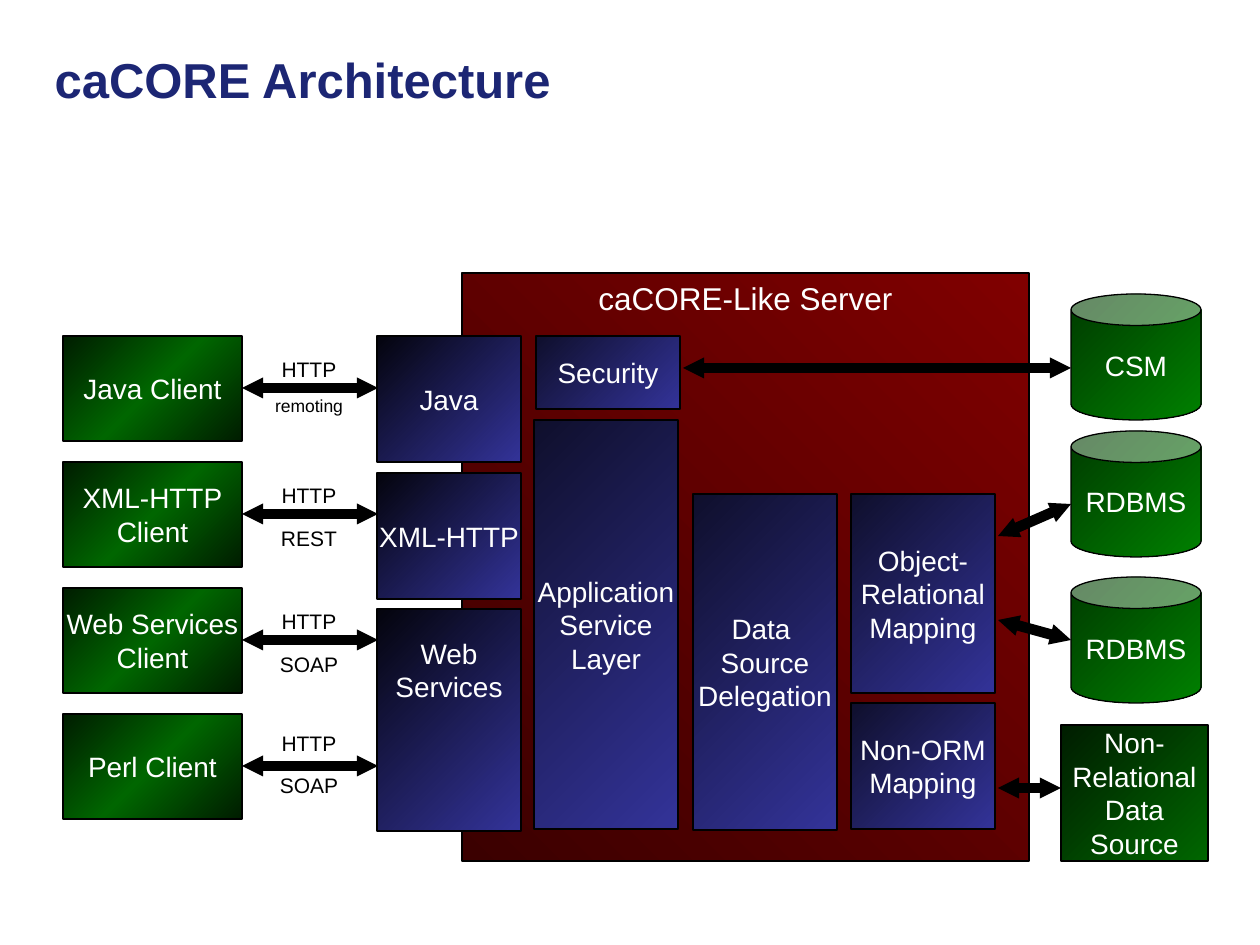
from lxml import etree
from pptx import Presentation, util as u
from pptx.dml.color import RGBColor
from pptx.enum import shapes, text
from pptx.oxml.ns import qn

PX = 914400 / 126
FONT = "Arial"
BLACK = RGBColor(0x00, 0x00, 0x00)
WHITE = RGBColor(0xFF, 0xFF, 0xFF)
NAVY = RGBColor(0x1C, 0x26, 0x74)
BLUE = RGBColor(0x33, 0x33, 0x99)
MIDNIGHT = RGBColor(0x0F, 0x0F, 0x2C)
INK = RGBColor(0x04, 0x04, 0x0D)
MAROON = RGBColor(0x3B, 0x00, 0x00)
RED = RGBColor(0x80, 0x00, 0x00)
PINE = RGBColor(0x00, 0x1D, 0x00)
LEAF = RGBColor(0x00, 0x66, 0x00)
FOREST = RGBColor(0x00, 0x3B, 0x00)
GREEN = RGBColor(0x00, 0x80, 0x00)

RECT = shapes.MSO_SHAPE.RECTANGLE
CAN = shapes.MSO_SHAPE.CAN
MIDDLE = text.MSO_ANCHOR.MIDDLE
TOP = text.MSO_ANCHOR.TOP
ROW_STEP, CLIENT_HEIGHT = 126, 105
TILE_WIDTH = 144
CLIENTS = [  # client, lower label, its size, tops of both labels within the row
    (["Java Client"], "remoting", 10, 14, 53),
    (["XML-HTTP", "Client"], "REST", 12, 14, 57),
    (["Web Services", "Client"], "SOAP", 12, 14, 57),
    (["Perl Client"], "SOAP", 12, 10, 52),
]


def emu(px):
    return u.Emu(round(px * PX))


def write(frame, lines, size, color, align=text.PP_ALIGN.CENTER, bold=False):
    for i, line in enumerate(lines):
        paragraph = frame.paragraphs[0] if i == 0 else frame.add_paragraph()
        paragraph.alignment = align
        run = paragraph.add_run()
        run.text = line
        run.font.name, run.font.size = FONT, u.Pt(size)
        run.font.bold = bold
        run.font.color.rgb = color


def blend(shape, colors, angle):
    """Fill with evenly spaced gradient stops; the angle runs clockwise."""
    shape.fill.gradient()
    shape.fill.gradient_angle = (360 - angle) % 360
    stops = shape._element.spPr.find(qn("a:gradFill")).find(qn("a:gsLst"))
    for stop in list(stops):
        stops.remove(stop)
    for i, color in enumerate(colors):
        position = str(100000 * i // (len(colors) - 1))
        stop = etree.SubElement(stops, qn("a:gs"), pos=position)
        etree.SubElement(stop, qn("a:srgbClr"), val=str(color))


def add_block(slide, box, lines, colors, kind=RECT, angle=45, size=16,
              anchor=MIDDLE):
    block = slide.shapes.add_shape(kind, *map(emu, box))
    block.shadow.inherit = False
    blend(block, colors, angle)
    block.line.color.rgb = BLACK
    block.line.width = u.Pt(0.75)
    frame = block.text_frame
    frame.word_wrap = False
    frame.vertical_anchor = anchor
    write(frame, lines, size, WHITE)
    return block


def add_arrow(slide, x1, y1, x2, y2):
    arrow = slide.shapes.add_connector(
        shapes.MSO_CONNECTOR.STRAIGHT, *map(emu, (x1, y1, x2, y2)))
    arrow.line.color.rgb = BLACK
    arrow.line.width = u.Pt(6)
    properties = arrow._element.spPr
    for end in ("a:headEnd", "a:tailEnd"):
        etree.SubElement(properties.find(qn("a:ln")), qn(end),
                         type="triangle", w="sm", len="sm")
    etree.SubElement(properties, qn("a:effectLst"))


def add_label(slide, box, wording, size):
    label = slide.shapes.add_textbox(*map(emu, box))
    label.text_frame.word_wrap = False
    label.text_frame.auto_size = text.MSO_AUTO_SIZE.SHAPE_TO_FIT_TEXT
    write(label.text_frame, [wording], size, BLACK)


def add_title(slide, box, wording):
    title = slide.shapes.title
    title.left, title.top, title.width, title.height = map(emu, box)
    frame = title.text_frame
    frame.word_wrap = True
    frame.auto_size = text.MSO_AUTO_SIZE.NONE
    frame.vertical_anchor = MIDDLE
    write(frame, [wording], 28, NAVY, text.PP_ALIGN.LEFT, bold=True)


def add_server(slide, box):
    left, top, _, _ = box
    add_block(slide, box, ["caCORE-Like Server"], [MAROON, RED],
              angle=315, size=18, anchor=TOP)
    for x, y, height, lines in [
        (74, 63, 73, ["Security"]),
        (72, 147, 409, ["Application", "Service", "Layer"]),
        (231, 221, 336, ["Data ", "Source", "Delegation"]),
        (389, 221, 199, ["Object-", "Relational", "Mapping"]),
        (389, 430, 126, ["Non-ORM", "Mapping"]),
    ]:
        add_block(slide, (left + x, top + y, TILE_WIDTH, height), lines,
                  [MIDNIGHT, BLUE])


def add_interfaces(slide, box):
    left, top, width, _ = box
    for y, height, lines, lift in [
        (0, 126, ["Java"], 0),
        (137, 126, ["XML-HTTP"], 0),
        (273, 222, ["Web", "Services"], 101),
    ]:
        tile = add_block(slide, (left, top + y, width, height), lines,
                         [INK, BLUE])
        tile.text_frame.margin_bottom = emu(6 + lift)


def add_clients(slide, box):
    """Client blocks at the left, each with its labelled arrow to the right."""
    left, top, width, _ = box
    client_width, label_width = 179, 108
    label_left = left + 192
    for i, (lines, lower, size, upper_y, lower_y) in enumerate(CLIENTS):
        y = top + i * ROW_STEP
        add_block(slide, (left, y, client_width, CLIENT_HEIGHT), lines,
                  [PINE, LEAF, PINE])
        add_arrow(slide, left + client_width, y + CLIENT_HEIGHT // 2,
                  left + width, y + CLIENT_HEIGHT // 2)
        add_label(slide, (label_left, y + upper_y, label_width, 38), "HTTP", 12)
        add_label(slide, (label_left, y + lower_y, label_width, 38), lower, size)


def add_data_sources(slide, box):
    left, top, width, _ = box
    for y, name in [(0, "CSM"), (137, "RDBMS"), (283, "RDBMS")]:
        add_block(slide, (left + 10, top + y, 130, 126), [name],
                  [FOREST, GREEN], kind=CAN)
    add_block(slide, (left, top + 431, width, 136),
              ["Non-", "Relational", "Data", "Source"], [PINE, LEAF])
    for x1, y1, x2, y2 in [(-378, 74, 10, 74), (-63, 242, 10, 210),
                           (-63, 326, 10, 346), (-63, 494, 0, 494)]:
        add_arrow(slide, left + x1, top + y1, left + x2, top + y2)


def main():
    deck = Presentation()
    deck.slide_width, deck.slide_height = emu(1260), emu(945)
    slide = deck.slides.add_slide(deck.slide_layouts[5])
    add_title(slide, (42, 0, 945, 158), "caCORE Architecture")
    add_server(slide, (462, 273, 567, 588))
    add_clients(slide, (63, 336, 315, 483))
    add_interfaces(slide, (377, 336, TILE_WIDTH, 495))
    add_data_sources(slide, (1061, 294, 147, 567))
    deck.save("out.pptx")


if __name__ == "__main__":
    main()
